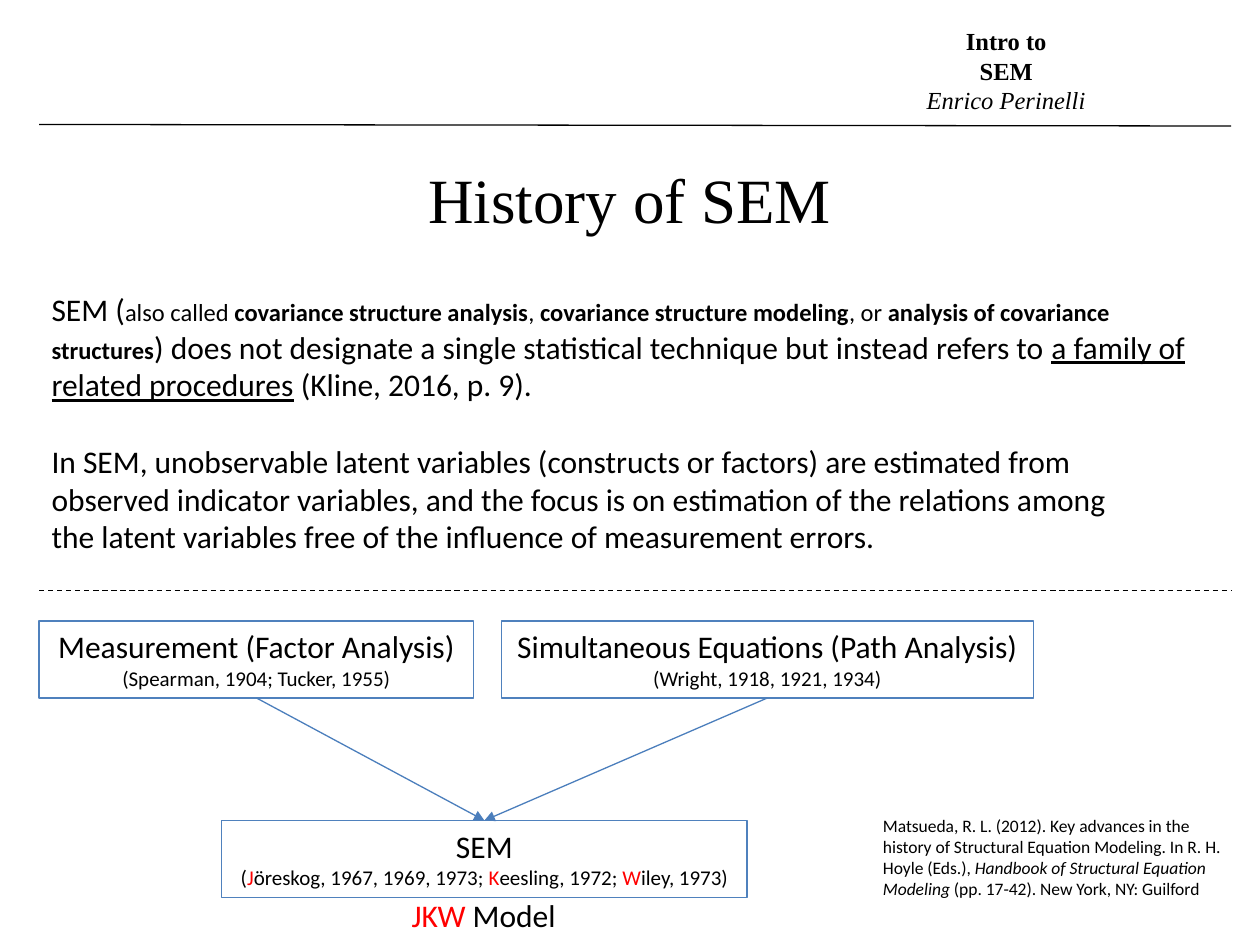
"""Build the History of SEM slide with its text, model boxes and arrows."""
from dataclasses import dataclass

from lxml.etree import SubElement
from pptx import Presentation
from pptx.dml.color import RGBColor
from pptx.enum.dml import MSO_LINE
from pptx.enum.shapes import MSO_CONNECTOR, MSO_SHAPE
from pptx.enum.text import MSO_ANCHOR, PP_ALIGN
from pptx.oxml.ns import qn
from pptx.util import Cm, Pt


@dataclass(frozen=True)
class Theme:
    black: RGBColor = RGBColor(0, 0, 0)
    red: RGBColor = RGBColor(255, 0, 0)
    border: RGBColor = RGBColor(0x4F, 0x81, 0xBD)
    arrow: RGBColor = RGBColor(0x4B, 0x7E, 0xBC)
    sans: str = "Calibri"
    serif: str = "Times New Roman"
    title: Pt = Pt(36)
    body: Pt = Pt(18)
    minor: Pt = Pt(14)
    source: Pt = Pt(12)
    reference: Pt = Pt(10)
    hairline: Pt = Pt(0.75)


theme = Theme()


def write(box, paragraphs, align=PP_ALIGN.LEFT, wrap=True, gap=None, **base):
    """Fill a box with paragraphs of (text, format) spans; gap names a spaced paragraph."""
    frame = box.text_frame
    frame.word_wrap = wrap
    frame.vertical_anchor = MSO_ANCHOR.TOP
    for index, spans in enumerate(paragraphs):
        para = frame.paragraphs[0] if index == 0 else frame.add_paragraph()
        para.alignment = align
        if index == gap:
            para.space_before = Pt(22)
        for text, changes in spans:
            span = para.add_run()
            span.text = text
            look = {"name": theme.sans, "size": theme.body, "color": theme.black, **base, **changes}
            span.font.color.rgb = look.pop("color")
            for key, value in look.items():
                setattr(span.font, key, value)


def draw_line(ends, color):
    """Add a thin straight line without a shadow."""
    line = page.shapes.add_connector(MSO_CONNECTOR.STRAIGHT, *map(Cm, ends))
    line.line.color.rgb = color
    line.line.width = theme.hairline
    SubElement(line._element.spPr, qn("a:effectLst"))
    return line


deck = Presentation()
deck.slide_width, deck.slide_height = Cm(25.4), Cm(19.05)
page = deck.slides.add_slide(deck.slide_layouts[6])

bold, italic, underline = {"bold": True}, {"italic": True}, {"underline": True}
minor = {"size": theme.minor}
minor_bold = {**minor, **bold}
source = {"size": theme.source}
initial = {**source, "color": theme.red}
centre = {"align": PP_ALIGN.CENTER}

draw_line((0.79, 2.51, 24.82, 2.54), theme.black)
divider = draw_line((0.79, 11.91, 24.82, 11.91), theme.black)
divider.line.dash_style = MSO_LINE.DASH

texts = [
    ((1.19, 3.12, 23.01, 1.8), [[("History of SEM", {})]],
     {**centre, "name": theme.serif, "size": theme.title}),
    ((0.79, 5.72, 24, 5.64), [
        [("SEM (", {}),
         ("also called ", minor),
         ("covariance structure analysis", minor_bold),
         (", ", minor),
         ("covariance structure modeling", minor_bold),
         (", or ", minor),
         ("analysis of covariance structures", minor_bold),
         (") does not designate a single statistical technique but instead refers to ", {}),
         ("a family of related procedures", underline),
         (" (Kline, 2016, p. 9).", {})],
        [("In SEM, unobservable latent variables (constructs or factors) are estimated from", {})],
        [("observed indicator variables, and the focus is on estimation of the relations among", {})],
        [("the latent variables free of the influence of measurement errors.", {})],
    ], {"gap": 1}),
    ((8.05, 17.93, 3.45, 1.02), [[("JKW", {"color": theme.red}), (" Model", {})]], {"wrap": False}),
    ((17.55, 16.31, 7.7, 1.96), [[
        ("Matsueda, R. L. (2012). Key advances in the history of Structural Equation Modeling. "
         "In R. H. Hoyle (Eds.), ", {}),
        ("Handbook of Structural Equation Modeling", italic),
        (" (pp. 17-42). New York, NY: Guilford", {}),
    ]], {"size": theme.reference}),
    ((18.42, 0.41, 3.73, 2.06),
     [[("Intro to", bold)], [("SEM", bold)], [("Enrico Perinelli", italic)]],
     {**centre, "wrap": False, "name": theme.serif, "size": theme.minor}),
]
for place, paragraphs, options in texts:
    write(page.shapes.add_textbox(*map(Cm, place)), paragraphs, **options)

models = [
    ((0.79, 12.52, 8.76), "Measurement (Factor Analysis)",
     [("(Spearman, 1904; Tucker, 1955)", source)]),
    ((10.11, 12.52, 10.72), "Simultaneous Equations (Path Analysis)",
     [("(Wright, 1918, 1921, 1934)", source)]),
    ((4.47, 16.54, 10.59), "SEM",
     [("(", source), ("J", initial), ("öreskog, 1967, 1969, 1973; ", source),
      ("K", initial), ("eesling, 1972; ", source), ("W", initial), ("iley, 1973)", source)]),
]
boxes = []
for place, heading, authors in models:
    box = page.shapes.add_shape(MSO_SHAPE.RECTANGLE, *map(Cm, (*place, 1.55)))
    box.shadow.inherit = False
    box.fill.background()
    box.line.color.rgb = theme.border
    box.line.width = theme.hairline
    write(box, [[(heading, {})], authors], wrap=False, **centre)
    boxes.append(box)

*origins, result = boxes
for origin in origins:
    arrow = draw_line((0, 0, 1, 1), theme.arrow)
    arrow.begin_connect(origin, 2)
    arrow.end_connect(result, 0)
    SubElement(arrow.line._get_or_add_ln(), qn("a:tailEnd"), type="triangle")

deck.save("out.pptx")
